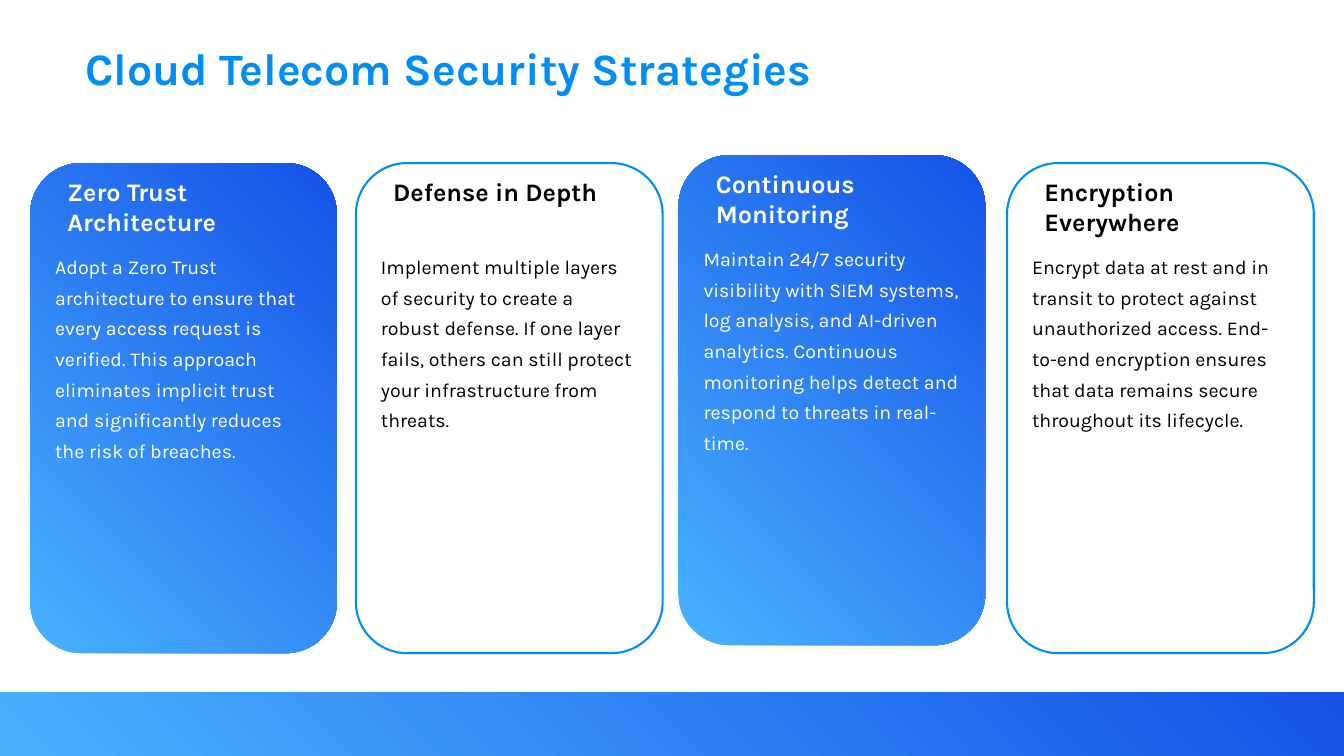
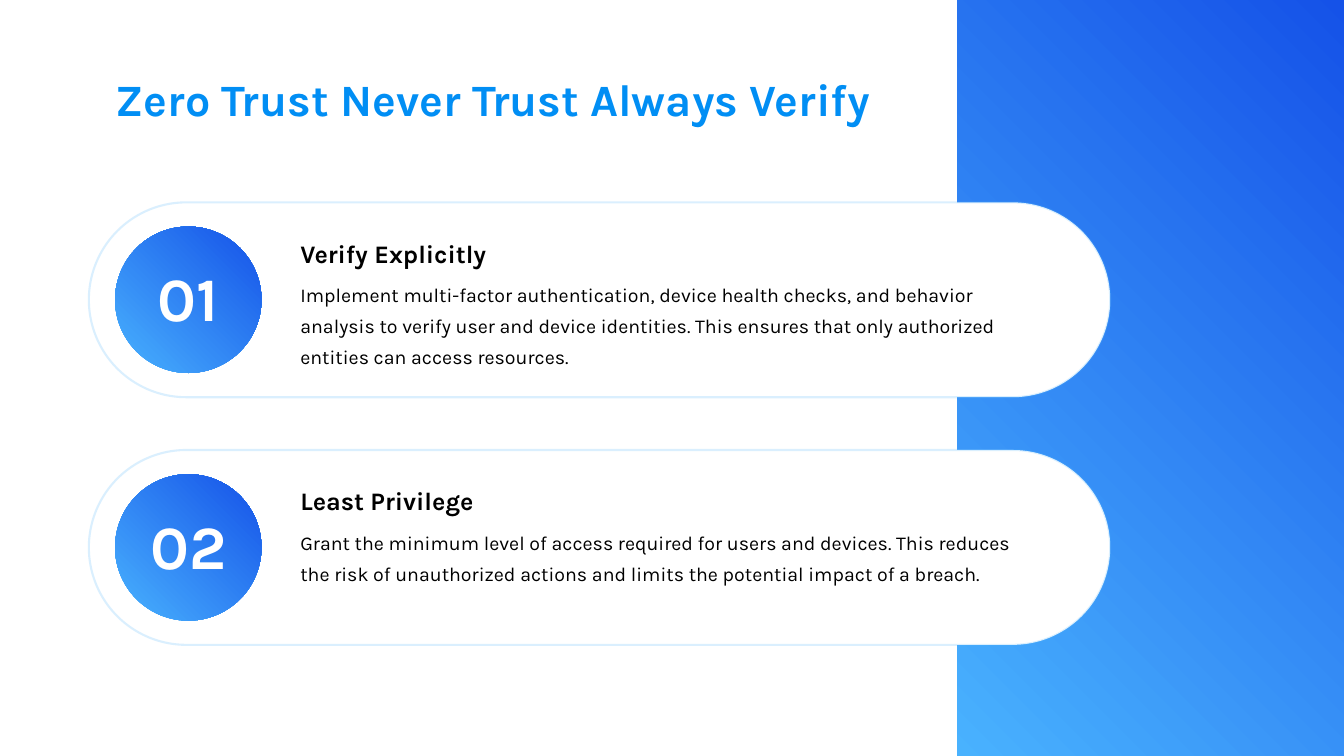
from lxml import etree
from pptx import Presentation
from pptx.dml.color import RGBColor
from pptx.enum.shapes import MSO_SHAPE
from pptx.enum.text import MSO_AUTO_SIZE, PP_ALIGN
from pptx.oxml.ns import qn
from pptx.util import Cm, Pt

RECTANGLE, ROUNDED, OVAL = MSO_SHAPE.RECTANGLE, MSO_SHAPE.ROUNDED_RECTANGLE, MSO_SHAPE.OVAL
FIT_TEXT = MSO_AUTO_SIZE.SHAPE_TO_FIT_TEXT
LEFT, CENTER = PP_ALIGN.LEFT, PP_ALIGN.CENTER

FONT = "Karla"
WHITE, BLACK, ACCENT = "FFFFFF", "000000", "018EF4"
LIGHT_BLUE, DEEP_BLUE = "49B2FE", "1552E8"
SLIDE_W, SLIDE_H = 33.87, 19.05
TITLE = {"size": 32, "color": ACCENT, "bold": True}
HEADING = {"size": 18, "bold": True}
BODY = {"size": 14, "spacing": 1.3}
NUMBER = {"size": 44, "color": WHITE, "bold": True, "align": CENTER}


def add_panel(slide, kind, left, top, width, height, outline=None):
    """White panel with an outline, or a blue gradient panel without one."""
    panel = slide.shapes.add_shape(kind, Cm(left), Cm(top), Cm(width), Cm(height))
    panel.shadow.inherit = False
    if outline:
        panel.fill.solid()
        panel.fill.fore_color.rgb = RGBColor.from_string(WHITE)
        panel.line.color.rgb = RGBColor.from_string(outline)
        panel.line.width = Pt(1.5)
    else:
        panel.fill.gradient()
        panel.fill.gradient_angle = 45
        for stop, color in zip(panel.fill.gradient_stops, (LIGHT_BLUE, DEEP_BLUE)):
            stop.color.rgb = RGBColor.from_string(color)
        panel.line.fill.background()
    return panel


def add_text(slide, text, left, top, width, height, size,
             color=BLACK, bold=False, spacing=None, align=LEFT):
    frame = slide.shapes.add_textbox(Cm(left), Cm(top), Cm(width), Cm(height)).text_frame
    frame.word_wrap = True
    frame.auto_size = FIT_TEXT
    paragraph = frame.paragraphs[0]
    paragraph.text = text
    paragraph.alignment = align
    if spacing:
        paragraph.line_spacing = spacing
    font = paragraph.font
    font.name, font.size, font.bold = FONT, Pt(size), bold
    font.color.rgb = RGBColor.from_string(color)


prs = Presentation()
prs.slide_width, prs.slide_height = Cm(SLIDE_W), Cm(SLIDE_H)
blank = prs.slide_layouts[6]

# Slide 1: four strategy cards above a footer band
strategies = prs.slides.add_slide(blank)
add_text(strategies, "Cloud Telecom Security Strategies", 1.9, 0.91, 27.23, 1.4, **TITLE)
add_panel(strategies, RECTANGLE, 0, 17.45, SLIDE_W, SLIDE_H - 17.45)

CARD_W, CARD_H = 7.73, 12.35
cards = [
    (0.76, 4.11, True, "Zero Trust Architecture",
     "Adopt a Zero Trust architecture to ensure that every access request is verified. "
     "This approach eliminates implicit trust and significantly reduces the risk of breaches."),
    (8.97, 4.11, False, "Defense in Depth",
     "Implement multiple layers of security to create a robust defense. If one layer fails, "
     "others can still protect your infrastructure from threats."),
    (17.1, 3.91, True, "Continuous Monitoring",
     "Maintain 24/7 security visibility with SIEM systems, log analysis, and AI-driven "
     "analytics. Continuous monitoring helps detect and respond to threats in real-time."),
    (25.38, 4.11, False, "Encryption Everywhere",
     "Encrypt data at rest and in transit to protect against unauthorized access. "
     "End-to-end encryption ensures that data remains secure throughout its lifecycle."),
]
for left, top, filled, heading, body in cards:
    ink = WHITE if filled else BLACK
    add_panel(strategies, ROUNDED, left, top, CARD_W, CARD_H, None if filled else ACCENT)
    add_text(strategies, heading, left + 0.69, top + 0.2, 6.32, 1.65, color=ink, **HEADING)
    add_text(strategies, body, left + 0.38, top + 2.02, 6.96, 5.56, color=ink, **BODY)

# Slide 2: two numbered principles over a side panel
principles = prs.slides.add_slide(blank)
add_text(principles, "Zero Trust Never Trust Always Verify", 2.67, 1.68, 27.23, 1.4, **TITLE)
add_panel(principles, RECTANGLE, 24.12, 0, SLIDE_W - 24.12, SLIDE_H)

PILL_LEFT, PILL_TOP, PILL_STEP = 2.24, 5.1, 6.24
steps = [
    ("Verify Explicitly",
     "Implement multi-factor authentication, device health checks, and behavior analysis to "
     "verify user and device identities. This ensures that only authorized entities can "
     "access resources."),
    ("Least Privilege",
     "Grant the minimum level of access required for users and devices. This reduces the risk "
     "of unauthorized actions and limits the potential impact of a breach."),
]
for index, (heading, body) in enumerate(steps):
    top = PILL_TOP + index * PILL_STEP
    pill = add_panel(principles, ROUNDED, PILL_LEFT, top, 25.74, 4.91, LIGHT_BLUE)
    pill.adjustments[0] = 0.5
    outline_color = pill.line._get_or_add_ln().find(".//" + qn("a:srgbClr"))
    etree.SubElement(outline_color, qn("a:alpha"), val="20000")
    add_panel(principles, OVAL, PILL_LEFT + 0.66, top + 0.61, 3.69, 3.69)
    add_text(principles, f"{index + 1:02}", PILL_LEFT + 1.16, top + 1.33, 2.69, 1.9, **NUMBER)
    add_text(principles, heading, 7.32, top + 0.77, 18.82, 0.79, **HEADING)
    add_text(principles, body, 7.32, top + 1.74, 18.82, 2.39, **BODY)

prs.save("out.pptx")
